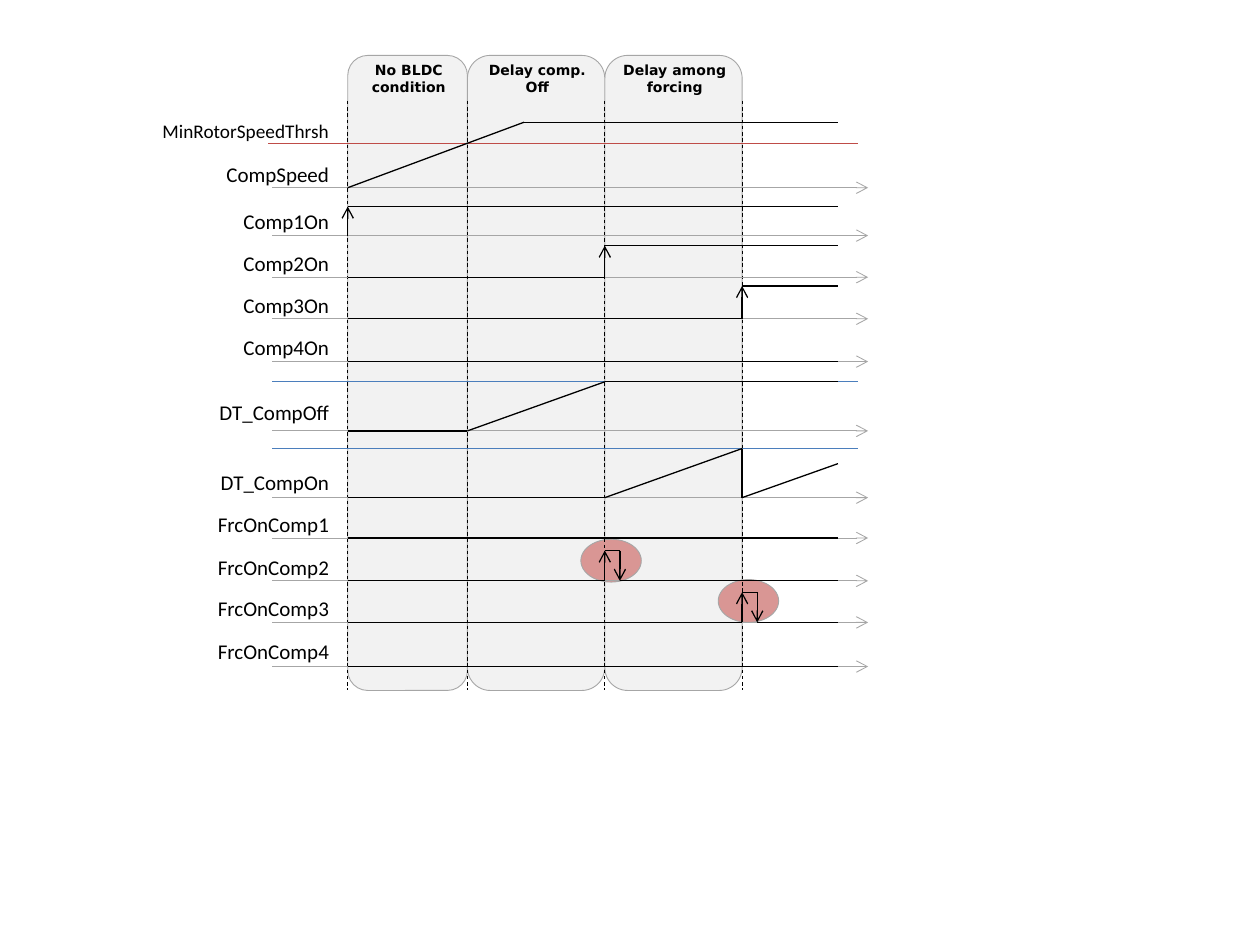
from collections import namedtuple
from lxml import etree
from pptx import Presentation
from pptx.dml.color import RGBColor
from pptx.enum.dml import MSO_LINE
from pptx.enum.shapes import MSO_CONNECTOR, MSO_SHAPE
from pptx.enum.text import MSO_AUTO_SIZE, PP_ALIGN
from pptx.oxml.ns import qn
from pptx.util import Inches, Pt

STRAIGHT = MSO_CONNECTOR.STRAIGHT
ROUND, OVAL = MSO_SHAPE.ROUNDED_RECTANGLE, MSO_SHAPE.OVAL
CENTER, RIGHT = PP_ALIGN.CENTER, PP_ALIGN.RIGHT
DASH, FIT = MSO_LINE.DASH, MSO_AUTO_SIZE.SHAPE_TO_FIT_TEXT

Box = namedtuple("Box", "x y w h")
C = {"ink": "000000", "band": "F2F2F2", "axis": "A6A6A6",
     "pulse": "D99694", "limit": "4B7EBC", "speed": "BF4C48"}

AXIS, T0, T1, T2, T3, END, LIMIT_END = 1.06, 1.66, 2.61, 3.7, 4.79, 5.55, 5.71
LABEL_RIGHT, PULSE = 1.61, 0.12

BANDS = [(T2, T3, "Delay among forcing"), (T1, T2, "Delay comp. Off"),
         (T0, T1, "No BLDC condition")]
LIMITS = [(1.03, 0.7, "speed"), (AXIS, 2.59, "limit"), (AXIS, 3.12, "limit")]


def pulse(t):
    """Return the points of a short pulse starting at time t."""
    return [(T0, 0), (t, 0), (t, 0.24), (t + PULSE, 0.24),
            (t + PULSE, 0), (END, 0)]


FLAT = [(T0, 0), (END, 0)]
SIGNALS = [
    ("CompSpeed", 1.05, 0.26, [(T0, 0), (3.06, 0.52), (END, 0.52)]),
    ("Comp1On", 1.43, 0.26, [(T0, 0), (T0, 0.23), (END, 0.23)]),
    ("Comp2On", 1.76, 0.26, [(T0, 0), (T2, 0), (T2, 0.25), (END, 0.25)]),
    ("Comp3On", 2.09, 0.26, [(T0, 0), (T3, 0), (T3, 0.26), (END, 0.26)]),
    ("Comp4On", 2.43, 0.26, FLAT),
    ("DT_CompOff", 2.98, 0.3, [(T0, 0), (T1, 0), (T2, 0.39), (END, 0.39)]),
    ("DT_CompOn", 3.51, 0.27,
     [(T0, 0), (T2, 0), (T3, 0.39), (T3, 0), (END, 0.27)]),
    ("FrcOnComp1", 3.83, 0.26, FLAT),
    ("FrcOnComp2", 4.17, 0.26, pulse(T2)),
    ("FrcOnComp3", 4.5, 0.26, pulse(T3)),
    ("FrcOnComp4", 4.85, 0.27, FLAT),
]


def rgb(name):
    """Return the named colour."""
    return RGBColor.from_string(C[name])


def add_text(s, text, x, y, w, h, size=12, font="Calibri", bold=False,
             align=RIGHT):
    """Add one wrapped line of text in a box."""
    tf = s.shapes.add_textbox(*map(Inches, (x, y, w, h))).text_frame
    tf.word_wrap, tf.auto_size = True, FIT
    p = tf.paragraphs[0]
    p.alignment = align
    r = p.add_run()
    r.text = text
    r.font.size, r.font.name, r.font.bold = Pt(size), font, bold
    r.font.color.rgb = rgb("ink")


def add_panel(s, kind, x, y, w, h, fill):
    """Add a filled shape with a thin grey outline."""
    sp = s.shapes.add_shape(kind, *map(Inches, (x, y, w, h)))
    sp.shadow.inherit = False
    sp.fill.solid()
    sp.fill.fore_color.rgb = rgb(fill)
    sp.line.color.rgb = rgb("axis")
    sp.line.width = Pt(0.5)


def add_line(s, x1, y1, x2, y2, color="ink", width=0.75, dash=None,
             arrow=False):
    """Add a straight line, dashed or with an arrowhead if asked."""
    ln = s.shapes.add_connector(STRAIGHT, *map(Inches, (x1, y1, x2, y2)))
    ln.line.color.rgb = rgb(color)
    ln.line.width = Pt(width)
    if dash:
        ln.line.dash_style = dash
    if arrow:
        tail = etree.SubElement(ln.line._get_or_add_ln(), qn("a:tailEnd"))
        tail.set("type", "arrow")
    etree.SubElement(ln._element.spPr, qn("a:effectLst"))


def add_bands(s, box):
    """Draw the phase bands, their headings and the pulse highlights."""
    for start, end, text in BANDS:
        x, w = box.x + start, end - start
        add_panel(s, ROUND, x, box.y, w, box.h, "band")
        add_text(s, text, x - 0.02, box.y, w + 0.06, 0.37, size=8,
                 font="DejaVu Sans", bold=True, align=CENTER)
    for t, y in ((T2, 3.84), (T3, 4.16)):
        add_panel(s, OVAL, box.x + t - 0.19, box.y + y, 0.48, 0.34, "pulse")


def add_guides(s, box):
    """Draw the threshold lines and the dashed phase borders."""
    for start, y, color in LIMITS:
        add_line(s, box.x + start, box.y + y, box.x + LIMIT_END, box.y + y,
                 color)
    add_text(s, "MinRotorSpeedThrsh", box.x, box.y + 0.46, LABEL_RIGHT, 0.29,
             size=11)
    for t in (T0, T1, T2, T3):
        add_line(s, box.x + t, box.y + 0.36, box.x + t, box.y + box.h,
                 width=0.5, dash=DASH)


def add_signal(s, box, label, base, lift, points):
    """Draw one signal: its label, time axis and trace."""
    y = box.y + base
    add_text(s, label, box.x + LABEL_RIGHT - 1.18, y - lift, 1.18, 0.3)
    add_line(s, box.x + AXIS, y, box.x + box.w, y, "axis", 0.5, arrow=True)
    for (x1, h1), (x2, h2) in zip(points, points[1:]):
        add_line(s, box.x + x1, y - h1, box.x + x2, y - h2,
                 arrow=x1 == x2 and label != "DT_CompOn")


def add_timing_diagram(s, box):
    """Draw the whole timing diagram in the given box."""
    add_bands(s, box)
    add_guides(s, box)
    for signal in SIGNALS:
        add_signal(s, box, *signal)


prs = Presentation()
prs.slide_width, prs.slide_height = Inches(10), Inches(7.5)
s = prs.slides.add_slide(prs.slide_layouts[6])
add_timing_diagram(s, Box(1.1, 0.44, 5.79, 5.04))
prs.save("out.pptx")
